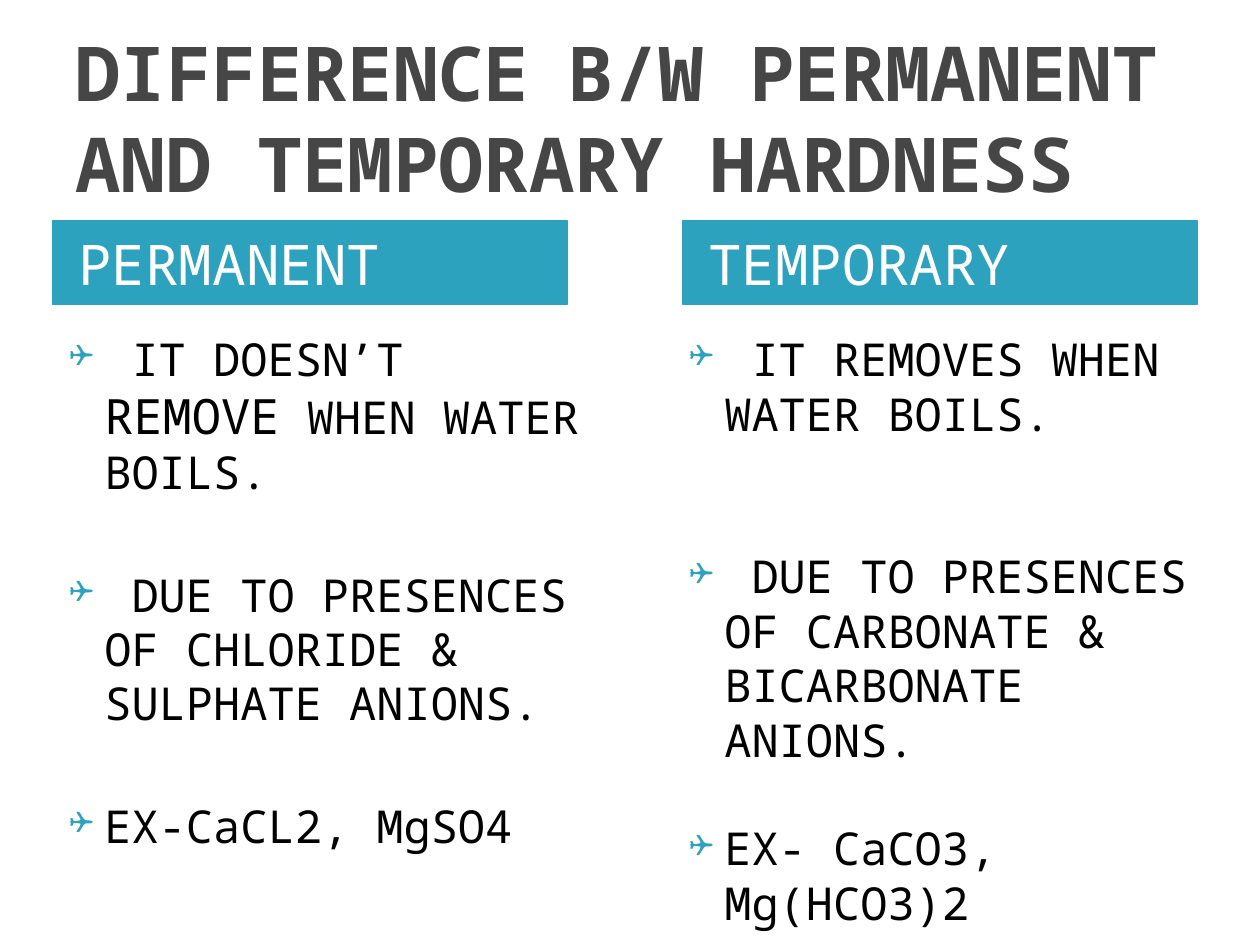
from lxml import etree
from pptx import Presentation
from pptx import util as u
from pptx.dml.color import RGBColor
from pptx.enum import shapes, text
from pptx.oxml.ns import qn

FONT = "Noto Sans Mono"
COLORS = {"title": "464646", "accent": "2DA2BF", "header": "FFFFFF", "body": "000000"}
BODY_SIZE = 25.9

# Each point: space before in points, then its runs as (text, size)
COLUMNS = [
    {
        "header": "PERMANENT", "header_left": 0.42, "left": 0.33, "width": 4.5,
        "points": [
            (0, [(" IT DOESN’T ", BODY_SIZE), ("REMOVE", 27.8),
                 (" WHEN WATER BOILS.", BODY_SIZE)]),
            (39, [(" DUE TO PRESENCES OF CHLORIDE & SULPHATE ANIONS.", BODY_SIZE)]),
            (39, [("EX-CaCL2, MgSO4", BODY_SIZE)]),
        ],
    },
    {
        "header": "TEMPORARY", "header_left": 5.42, "left": 5.25, "width": 4.42,
        "points": [
            (0, [(" IT REMOVES WHEN WATER BOILS.", BODY_SIZE)]),
            (62, [(" DUE TO PRESENCES OF CARBONATE & BICARBONATE ANIONS.", BODY_SIZE)]),
            (31, [("EX- CaCO3, Mg(HCO3)2", BODY_SIZE)]),
        ],
    },
]


def place(box, left, top, width, height):
    box.left, box.top = u.Inches(left), u.Inches(top)
    box.width, box.height = u.Inches(width), u.Inches(height)


def format_frame(frame, **values):
    settings = {"word_wrap": True, "auto_size": text.MSO_AUTO_SIZE.NONE, **values}
    for name, value in settings.items():
        setattr(frame, name, value)


def add_run(para, words, size, color, bold=False):
    span = para.add_run()
    span.text = words
    for name, value in {"name": FONT, "size": u.Pt(size), "bold": bold}.items():
        setattr(span.font, name, value)
    span.font.color.rgb = RGBColor.from_string(COLORS[color])


def add_bullet(para):
    properties = para._p.get_or_add_pPr()
    properties.set("marL", str(u.Inches(0.4)))
    properties.set("indent", str(u.Inches(-0.28)))
    color = etree.SubElement(properties, qn("a:buClr"))
    etree.SubElement(color, qn("a:srgbClr"), val=COLORS["accent"])
    etree.SubElement(properties, qn("a:buSzPct"), val="68000")
    etree.SubElement(properties, qn("a:buFont"), typeface="Wingdings")
    etree.SubElement(properties, qn("a:buChar"), char="❑")


def format_title(title):
    place(title, 0.5, 0.3, 9, 1.25)
    format_frame(title.text_frame, vertical_anchor=text.MSO_ANCHOR.MIDDLE)
    para = title.text_frame.paragraphs[0]
    para.alignment = text.PP_ALIGN.LEFT
    for words, size in [("DIFFERENCE", 43.2), (" ", 36.9),
                        ("B/W PERMANENT AND TEMPORARY HARDNESS", 43.2)]:
        add_run(para, words, size, "title", bold=True)


def add_header(page, words, left):
    box = page.shapes.add_shape(
        shapes.MSO_SHAPE.RECTANGLE,
        u.Inches(left), u.Inches(1.75), u.Inches(4.08), u.Inches(0.67))
    box.shadow.inherit = False
    box.fill.solid()
    box.fill.fore_color.rgb = RGBColor.from_string(COLORS["accent"])
    box.line.color.rgb = RGBColor.from_string(COLORS["accent"])
    box.line.width = u.Pt(0.75)
    format_frame(box.text_frame, vertical_anchor=text.MSO_ANCHOR.MIDDLE,
                 margin_left=u.Inches(0.2))
    para = box.text_frame.paragraphs[0]
    para.alignment = text.PP_ALIGN.LEFT
    add_run(para, words, 32, "header")


def add_points(page, points, left, width):
    box = page.shapes.add_textbox(
        u.Inches(left), u.Inches(2.58), u.Inches(width), u.Inches(3.92))
    frame = box.text_frame
    format_frame(frame, vertical_anchor=text.MSO_ANCHOR.TOP)
    for number, (space, runs) in enumerate(points):
        para = frame.add_paragraph() if number else frame.paragraphs[0]
        para.space_before = u.Pt(space)
        add_bullet(para)
        for words, size in runs:
            add_run(para, words, size, "body")


def main():
    deck = Presentation()
    deck.slide_width, deck.slide_height = u.Inches(10), u.Inches(7.5)
    page = deck.slides.add_slide(deck.slide_layouts[5])

    # Title
    format_title(page.shapes.title)

    # Column headers, then the points below them
    for column in COLUMNS:
        add_header(page, column["header"], column["header_left"])
    for column in COLUMNS:
        add_points(page, column["points"], column["left"], column["width"])

    deck.save("out.pptx")


if __name__ == "__main__":
    main()
